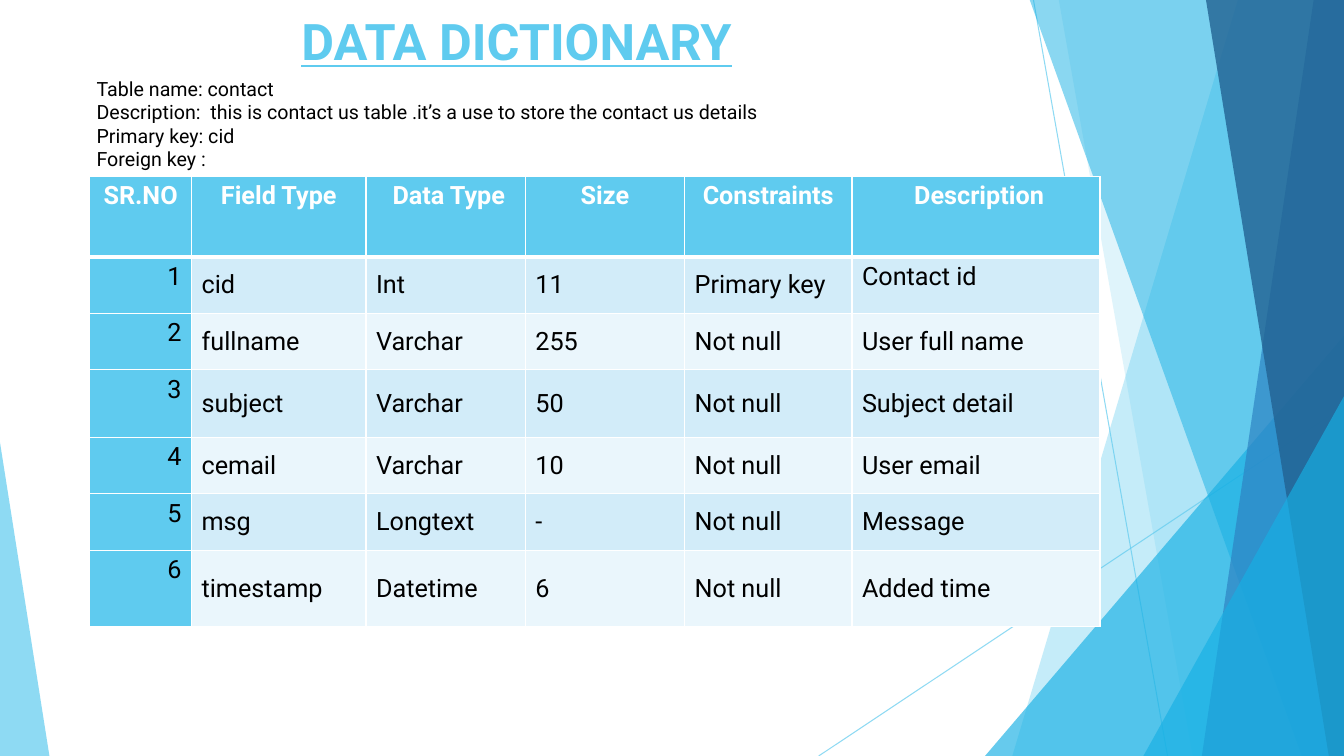
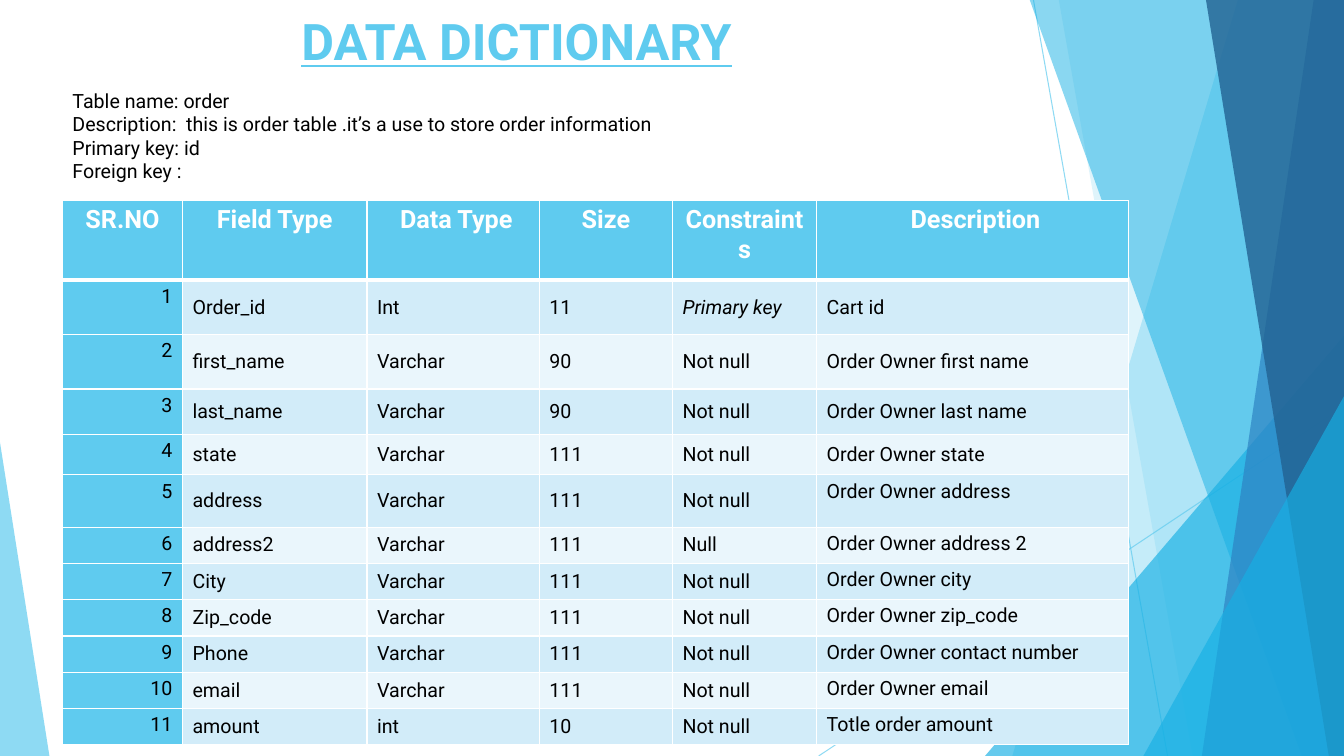
from dataclasses import dataclass

from lxml.etree import SubElement
from pptx import Presentation
from pptx.dml.color import RGBColor
from pptx.enum.shapes import MSO_CONNECTOR, MSO_SHAPE
from pptx.enum.text import MSO_ANCHOR, MSO_AUTO_SIZE, PP_ALIGN
from pptx.oxml import parse_xml
from pptx.oxml.ns import nsdecls, qn
from pptx.shapes.autoshape import Shape
from pptx.slide import Slide
from pptx.table import _Cell
from pptx.util import Inches, Pt

FONT = "Roboto"
SKY = RGBColor(0x5F, 0xCB, 0xEF)
CYAN = RGBColor(0x17, 0xB0, 0xE4)
BLUE = RGBColor(0x2E, 0x83, 0xC3)
NAVY = RGBColor(0x22, 0x62, 0x92)
ODD_ROW = RGBColor(0xD2, 0xEC, 0xF9)
EVEN_ROW = RGBColor(0xEA, 0xF6, 0xFC)
WHITE = RGBColor(0xFF, 0xFF, 0xFF)
BLACK = RGBColor(0x00, 0x00, 0x00)

SLIDE_WIDTH = 13.33
SLIDE_HEIGHT = 7.5
BAND_TOP = -0.01
HEADERS = ("SR.NO", "Field Type", " Data Type", "Size", "Constraints", " Description")
DESCRIPTION_COLUMN = len(HEADERS) - 1


@dataclass(frozen=True)
class Ray:
    start: tuple[float, float]
    end: tuple[float, float]


@dataclass(frozen=True)
class Band:
    top_left: float
    bottom_left: float
    color: RGBColor
    opacity: int


@dataclass(frozen=True)
class Triangle:
    left: float
    top: float
    width: float
    apex: float
    color: RGBColor
    opacity: int


@dataclass(frozen=True)
class DictionaryPage:
    summary: tuple[str, ...]
    summary_position: tuple[float, float]
    table_position: tuple[float, float]
    column_widths: tuple[float, ...]
    row_heights: tuple[float, ...]
    body_size: int
    fields: tuple[tuple[str, ...], ...]
    top_descriptions: range
    italic_cells: frozenset[tuple[int, int]] = frozenset()


RAYS = (
    Ray((10.25, 0), (11.58, SLIDE_HEIGHT)),
    Ray((SLIDE_WIDTH, 4.03), (8.12, SLIDE_HEIGHT)),
)
FACETS = (
    Band(12.28, 10.04, SKY, 36),
    Band(10.5, 11.83, SKY, 20),
    Triangle(9.77, 3.33, 3.56, 1, CYAN, 66),
    Band(10.21, 12.91, CYAN, 50),
    Band(13.03, 11.92, BLUE, 70),
    Band(11.96, 13.18, NAVY, 80),
    Triangle(11.34, 3.93, 1.99, 1, CYAN, 66),
    Triangle(0, 4.39, 0.49, 0, SKY, 70),
)
PAGES = (
    DictionaryPage(
        summary=(
            "Table name: contact",
            "Description:  this is contact us table .it’s a use to store the contact us details",
            "Primary key: cid",
            "Foreign key :",
        ),
        summary_position=(0.86, 0.71),
        table_position=(0.89, 1.75),
        column_widths=(1.01, 1.73, 1.58, 1.58, 1.66, 2.46),
        row_heights=(0.8, 0.56, 0.56, 0.67, 0.56, 0.56, 0.76),
        body_size=18,
        fields=(
            ("cid", "Int", "11", "Primary key", "Contact id"),
            ("fullname", "Varchar", "255", "Not null", "User full name"),
            ("subject", "Varchar", "50", "Not null", "Subject detail"),
            ("cemail", "Varchar", "10", "Not null", "User email"),
            ("msg", "Longtext", "-", "Not null", "Message"),
            ("timestamp", "Datetime", "6", "Not null", "Added time"),
        ),
        top_descriptions=range(1, 2),
    ),
    DictionaryPage(
        summary=(
            "Table name: order",
            "Description:  this is order table .it’s a use to store order information",
            "Primary key: id",
            "Foreign key :",
        ),
        summary_position=(0.62, 0.83),
        table_position=(0.62, 1.99),
        column_widths=(1.19, 1.83, 1.71, 1.32, 1.43, 3.09),
        row_heights=(0.79, 0.54, 0.54, 0.45, 0.4, 0.52) + (0.36,) * 6,
        body_size=14,
        fields=(
            ("Order_id", "Int", "11", "Primary key", "Cart id"),
            ("first_name", "Varchar", "90", "Not null", "Order Owner first name"),
            ("last_name", "Varchar", "90", "Not null", "Order Owner last name"),
            ("state", "Varchar", "111", "Not null", "Order Owner state"),
            ("address", "Varchar", "111", "Not null", "Order Owner address"),
            ("address2", "Varchar", "111", "Null", "Order Owner address 2"),
            ("City", "Varchar", "111", "Not null", "Order Owner city"),
            ("Zip_code", "Varchar", "111", "Not null", "Order Owner zip_code"),
            ("Phone", "Varchar", "111", "Not null", "Order Owner contact number"),
            ("email", "Varchar", "111", "Not null", "Order Owner email"),
            ("amount", "int", "10", "Not null", "Totle order amount"),
        ),
        top_descriptions=range(5, 12),
        italic_cells=frozenset({(1, 4)}),
    ),
)


def set_opacity(properties, percent: int) -> None:
    color = next(properties.iter(qn("a:srgbClr")))
    SubElement(color, qn("a:alpha")).set("val", str(percent * 1000))


def draw_ray(slide: Slide, ray: Ray) -> None:
    points = [Inches(value) for value in ray.start + ray.end]
    connector = slide.shapes.add_connector(MSO_CONNECTOR.STRAIGHT, *points)
    connector.line.color.rgb = SKY
    connector.line.width = Pt(0.75)
    properties = connector._element.spPr
    set_opacity(properties, 70)
    SubElement(properties, qn("a:effectLst"))


def add_band(slide: Slide, band: Band) -> Shape:
    corners = (
        (SLIDE_WIDTH, BAND_TOP),
        (SLIDE_WIDTH, SLIDE_HEIGHT),
        (band.bottom_left, SLIDE_HEIGHT),
    )
    builder = slide.shapes.build_freeform(Inches(band.top_left), Inches(BAND_TOP))
    builder.add_line_segments([(Inches(x), Inches(y)) for x, y in corners], close=True)
    return builder.convert_to_shape()


def add_triangle(slide: Slide, triangle: Triangle) -> Shape:
    shape = slide.shapes.add_shape(
        MSO_SHAPE.ISOSCELES_TRIANGLE,
        Inches(triangle.left),
        Inches(triangle.top),
        Inches(triangle.width),
        Inches(SLIDE_HEIGHT - triangle.top),
    )
    shape.adjustments[0] = triangle.apex
    return shape


def draw_facet(slide: Slide, facet: Band | Triangle) -> None:
    shape = add_band(slide, facet) if isinstance(facet, Band) else add_triangle(slide, facet)
    shape.shadow.inherit = False
    shape.fill.solid()
    shape.fill.fore_color.rgb = facet.color
    shape.line.fill.background()
    set_opacity(shape._element.spPr, facet.opacity)


def style_font(paragraph, size: int, color: RGBColor, bold: bool = False) -> None:
    paragraph.font.name = FONT
    paragraph.font.size = Pt(size)
    paragraph.font.color.rgb = color
    paragraph.font.bold = bold


def draw_title(slide: Slide) -> None:
    title = slide.shapes.add_textbox(Inches(2.89), Inches(0.1), Inches(5.3), Inches(0.61))
    frame = title.text_frame
    frame.word_wrap = True
    frame.vertical_anchor = MSO_ANCHOR.MIDDLE
    paragraph = frame.paragraphs[0]
    paragraph.text = "DATA DICTIONARY"
    style_font(paragraph, 36, SKY, bold=True)
    paragraph.font.underline = True


def draw_summary(slide: Slide, page: DictionaryPage) -> None:
    left, top = page.summary_position
    box = slide.shapes.add_textbox(Inches(left), Inches(top), Inches(9.36), Inches(1.04))
    frame = box.text_frame
    frame.word_wrap = True
    frame.auto_size = MSO_AUTO_SIZE.SHAPE_TO_FIT_TEXT
    frame.text = "\n".join(page.summary)
    for paragraph in frame.paragraphs:
        style_font(paragraph, 14, BLACK)


def set_borders(cell: _Cell, row: int) -> None:
    widths = {"lnL": 1, "lnR": 1, "lnT": 3 if row == 1 else 1, "lnB": 3 if row == 0 else 1}
    properties = cell._tc.get_or_add_tcPr()
    for index, (side, width) in enumerate(widths.items()):
        border = parse_xml(
            f'<a:{side} {nsdecls("a")} w="{Pt(width)}"><a:solidFill>'
            f'<a:srgbClr val="{WHITE}"/></a:solidFill></a:{side}>'
        )
        properties.insert(index, border)


def fill_cell(cell: _Cell, text: str, row: int, column: int, page: DictionaryPage) -> None:
    is_header = row == 0
    is_number = column == 0
    cell.text = text
    paragraph = cell.text_frame.paragraphs[0]
    if is_header:
        style_font(paragraph, 18, WHITE, bold=True)
        paragraph.alignment = PP_ALIGN.CENTER
    else:
        style_font(paragraph, page.body_size, BLACK)
        paragraph.alignment = PP_ALIGN.RIGHT if is_number else PP_ALIGN.LEFT
    if (row, column) in page.italic_cells:
        paragraph.font.italic = True
    is_top_description = column == DESCRIPTION_COLUMN and row in page.top_descriptions
    at_top = is_header or is_number or is_top_description
    cell.vertical_anchor = MSO_ANCHOR.TOP if at_top else MSO_ANCHOR.MIDDLE
    cell.fill.solid()
    body_color = ODD_ROW if row % 2 else EVEN_ROW
    cell.fill.fore_color.rgb = SKY if is_header or is_number else body_color
    set_borders(cell, row)


def draw_table(slide: Slide, page: DictionaryPage) -> None:
    left, top = page.table_position
    numbered = [(str(number), *field) for number, field in enumerate(page.fields, 1)]
    rows = [HEADERS, *numbered]
    table = slide.shapes.add_table(
        len(rows),
        len(HEADERS),
        Inches(left),
        Inches(top),
        Inches(sum(page.column_widths)),
        Inches(sum(page.row_heights)),
    ).table
    table.horz_banding = False
    for column, width in zip(table.columns, page.column_widths):
        column.width = Inches(width)
    for row, height in zip(table.rows, page.row_heights):
        row.height = Inches(height)
    for row_index, texts in enumerate(rows):
        for column_index, text in enumerate(texts):
            cell = table.cell(row_index, column_index)
            fill_cell(cell, text, row_index, column_index, page)


def draw_page(slide: Slide, page: DictionaryPage) -> None:
    for ray in RAYS:
        draw_ray(slide, ray)
    for facet in FACETS:
        draw_facet(slide, facet)
    draw_title(slide)
    draw_table(slide, page)
    draw_summary(slide, page)


presentation = Presentation()
presentation.slide_width = Inches(SLIDE_WIDTH)
presentation.slide_height = Inches(SLIDE_HEIGHT)
blank_layout = presentation.slide_layouts[6]
for dictionary_page in PAGES:
    draw_page(presentation.slides.add_slide(blank_layout), dictionary_page)
presentation.save("out.pptx")
